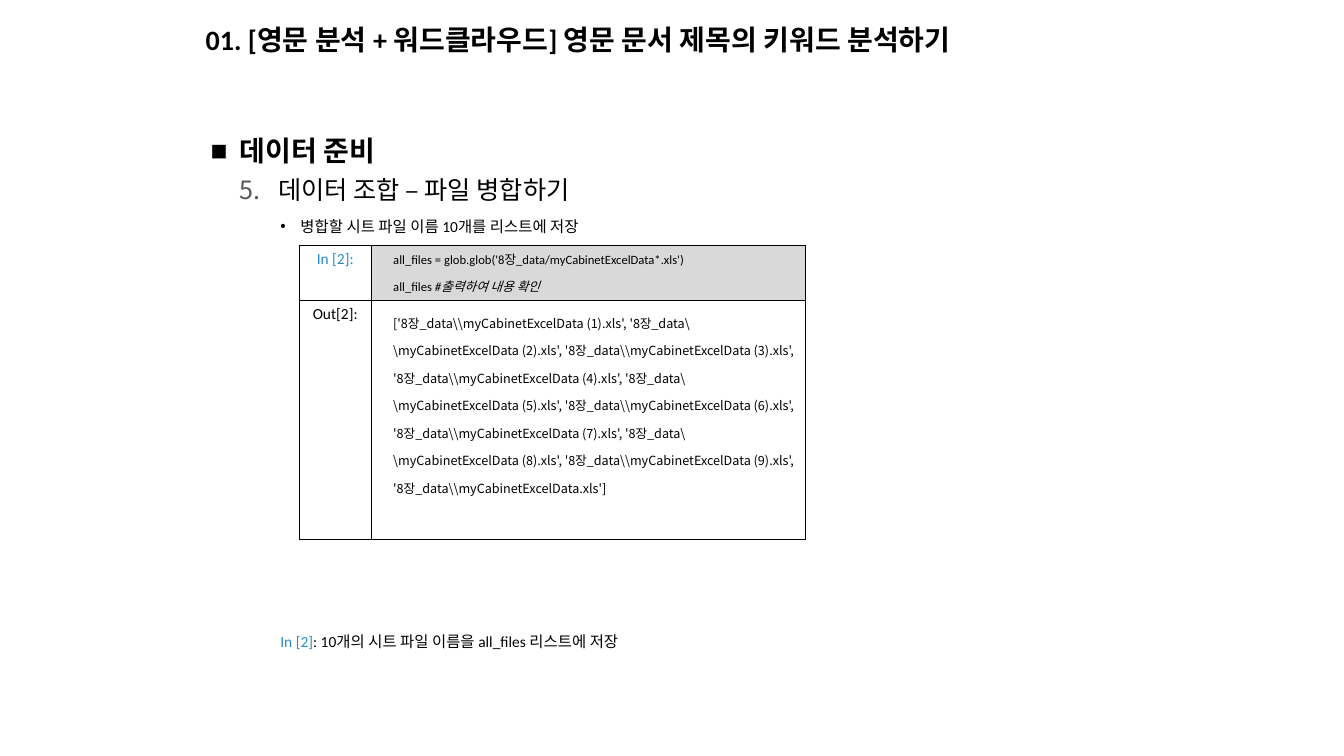
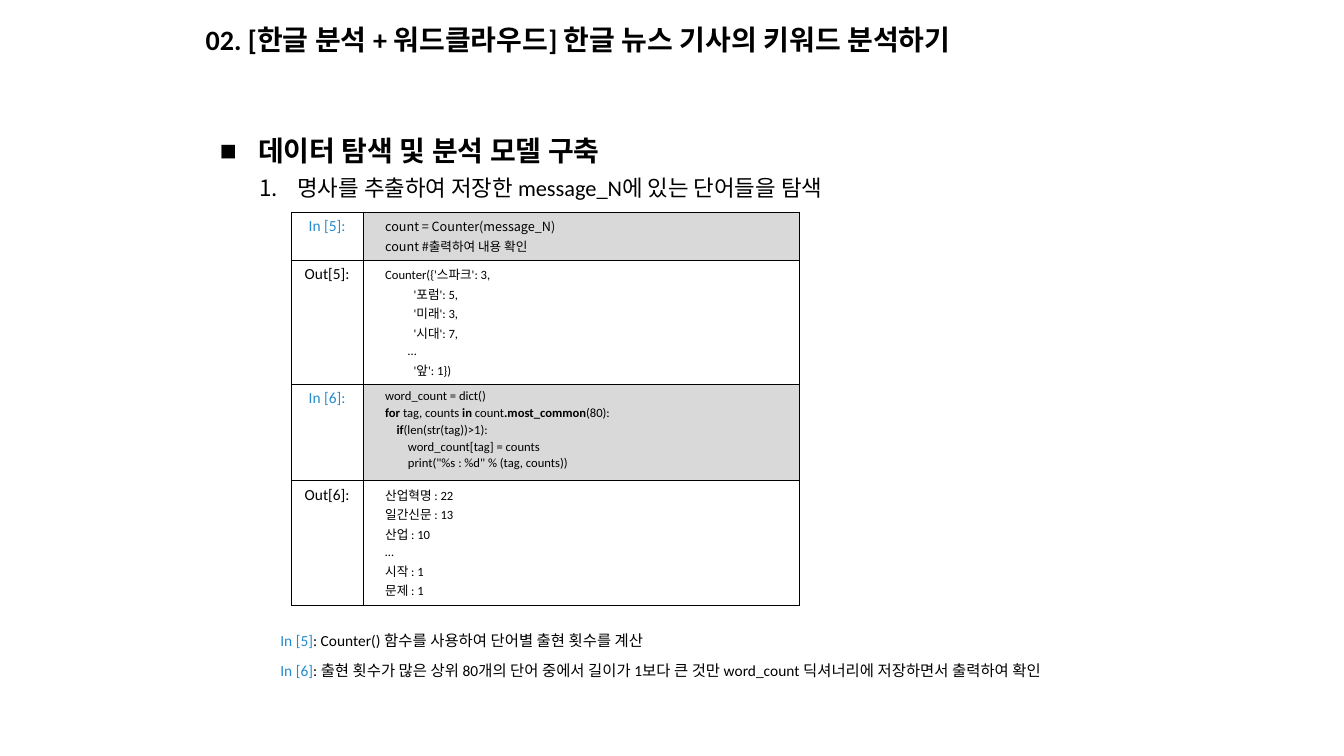
from lxml import etree
from pptx import Presentation
from pptx.dml.color import RGBColor
from pptx.enum.text import MSO_ANCHOR, MSO_AUTO_SIZE, PP_ALIGN
from pptx.oxml.ns import qn
from pptx.util import Inches, Pt

LEFT, CENTER = PP_ALIGN.LEFT, PP_ALIGN.CENTER
MIDDLE = MSO_ANCHOR.MIDDLE
NO_FIT = MSO_AUTO_SIZE.NONE


class Theme:
    black = "000000"
    white = "FFFFFF"
    accent = "258BCD"
    number = "595959"
    code_fill = "D9D9D9"
    sans = "Calibri"
    heading = "Arial"
    korean = "Noto Sans CJK KR"
    title_size = 20
    topic_size = 18
    step_size = 16
    note_size = 11
    code_size = 9
    border = 0.25


def add_bullet(p, color, char=None, start=None):
    pPr = p._p.get_or_add_pPr()
    clr = etree.SubElement(pPr, qn("a:buClr"))
    etree.SubElement(clr, qn("a:srgbClr"), val=color)
    if start:
        etree.SubElement(pPr, qn("a:buFont"), typeface="+mj-lt")
        etree.SubElement(pPr, qn("a:buAutoNum"), type="arabicPeriod", startAt=str(start))
    else:
        etree.SubElement(pPr, qn("a:buFont"), typeface=Theme.heading)
        etree.SubElement(pPr, qn("a:buChar"), char=char)


def write(p, content, size, font=Theme.sans, bold=False, before=0, after=0,
          spacing=1.0, align=LEFT, left=0, hang=0, level=0, bullet=None):
    p.level = level
    p.alignment = align
    p.line_spacing = spacing
    p.space_before, p.space_after = Pt(before), Pt(after)
    pPr = p._p.get_or_add_pPr()
    pPr.set("marL", str(Inches(left)))
    pPr.set("indent", str(-Inches(hang)))
    if bullet:
        add_bullet(p, **bullet)
    else:
        etree.SubElement(pPr, qn("a:buNone"))
    for text, look in [(content, "")] if isinstance(content, str) else content:
        r = p.add_run()
        r.text = text
        r.font.size = Pt(size)
        r.font.name = font
        r.font.bold = bold or look == "bold"
        r.font.italic = look == "italic"
        r.font.color.rgb = RGBColor.from_string(Theme.accent if look == "accent" else Theme.black)
        latin = r._r.rPr.find(qn("a:latin"))
        latin.addnext(etree.Element(qn("a:ea"), typeface=Theme.korean))


file_names = [rf"8장_data\myCabinetExcelData{n}.xls"
              for n in [f" ({i})" for i in range(1, 10)] + [""]]
tight = dict(before=0.5, after=0.5)
heading = dict(size=Theme.title_size, font=Theme.heading, bold=True, spacing=1.5,
               bullet=dict(color=Theme.black, char="■"))

slides = [
    dict(
        title="01. [영문 분석 + 워드클라우드] 영문 문서 제목의 키워드 분석하기",
        body=[
            ("데이터 준비", dict(heading, left=0.29, hang=0.29)),
            ("데이터 조합 – 파일 병합하기",
             dict(size=Theme.topic_size, before=5, after=4, level=1, left=0.67, hang=0.38,
                  bullet=dict(color=Theme.number, start=5))),
            ("병합할 시트 파일 이름 10개를 리스트에 저장",
             dict(size=Theme.note_size, before=5, after=3, level=3, left=0.89, hang=0.2,
                  bullet=dict(color=Theme.black, char="•"))),
        ],
        notes_gap=280,
        notes=[("In [2]", ": 10개의 시트 파일 이름을 all_files 리스트에 저장")],
        table_at=(2.97, 2.43),
        widths=(0.71, 4.31),
        cells=[
            ("In [2]:", 0.48, Theme.sans, dict(before=2.8, after=3),
             ["all_files = glob.glob('8장_data/myCabinetExcelData*.xls')",
              [("all_files ", ""), ("#출력하여 내용 확인", "italic")]]),
            ("Out[2]:", 2.37, Theme.korean, dict(before=0.1, after=0.1, spacing=1.5),
             [str(file_names)]),
        ],
    ),
    dict(
        title="02. [한글 분석 + 워드클라우드] 한글 뉴스 기사의 키워드 분석하기",
        body=[
            ("데이터 탐색 및 분석 모델 구축", dict(heading, left=0.47, hang=0.38)),
            ("명사를 추출하여 저장한 message_N에 있는 단어들을 탐색",
             dict(size=Theme.step_size, before=5, after=3, level=2, left=0.86, hang=0.38,
                  bullet=dict(color=Theme.black, start=1))),
        ],
        notes_gap=304,
        notes=[
            ("In [5]", ": Counter() 함수를 사용하여 단어별 출현 횟수를 계산"),
            ("In [6]", ": 출현 횟수가 많은 상위 80개의 단어 중에서 길이가 1보다 큰 것만 "
                       "word_count 딕셔너리에 저장하면서 출력하여 확인"),
        ],
        table_at=(2.89, 2.1),
        widths=(0.71, 4.33),
        cells=[
            ("In [5]:", 0.43, Theme.korean, tight,
             ["count = Counter(message_N)", "count #출력하여 내용 확인"]),
            ("Out[5]:", 1.14, Theme.sans, tight,
             ["Counter({'스파크': 3,", "          '포럼': 5,", "          '미래': 3,",
              "          '시대': 7,", "        …", "          '앞': 1})"]),
            ("In [6]:", 0.96, Theme.sans, tight,
             ["word_count = dict()",
              [("for", "bold"), (" tag, counts ", ""), ("in ", "bold"), ("count", ""),
               (".most_common", "bold"), ("(80):", "")],
              [("    ", ""), ("if", "bold"), ("(len(str(tag))>1):", "")],
              "        word_count[tag] = counts",
              '        print("%s : %d" % (tag, counts))']),
            ("Out[6]:", 1.14, Theme.sans, tight,
             ["산업혁명 : 22", "일간신문 : 13", "산업 : 10", "…", "시작 : 1", "문제 : 1"]),
        ],
    ),
]

prs = Presentation()
prs.slide_width, prs.slide_height = Inches(13.33), Inches(7.5)
layout = prs.slide_layouts[1]
for index, box in enumerate([(1.94, 0.11, 8.66, 0.6), (1.99, 1.11, 9.45, 5.98)]):
    sp = layout.placeholders[index]
    sp.left, sp.top, sp.width, sp.height = map(Inches, box)

for content in slides:
    s = prs.slides.add_slide(layout)
    tf = s.shapes.title.text_frame
    tf.vertical_anchor = MIDDLE
    tf.auto_size = NO_FIT
    write(tf.paragraphs[0], content["title"], Theme.title_size, bold=True, spacing=0.9)

    tf = s.placeholders[1].text_frame
    tf.auto_size = NO_FIT
    for i, (text, style) in enumerate(content["body"]):
        write(tf.add_paragraph() if i else tf.paragraphs[0], text, **style)
    for i, (label, note) in enumerate(content["notes"]):
        write(tf.add_paragraph(), [(label, "accent"), (note, "")], Theme.note_size,
              before=5 if i else content["notes_gap"], after=3, level=3, left=0.69)

    cells, widths = content["cells"], content["widths"]
    x, y = content["table_at"]
    height = sum(row[1] for row in cells)
    table = s.shapes.add_table(len(cells), 2, Inches(x), Inches(y),
                               Inches(sum(widths)), Inches(height)).table
    table.first_row = table.horz_banding = False
    for column, width in zip(table.columns, widths):
        column.width = Inches(width)
    for row, (label, row_height, font, style, lines) in zip(table.rows, cells):
        row.height = Inches(row_height)
        is_input = label.startswith("In")
        label_cell, code_cell = row.cells
        write(label_cell.text_frame.paragraphs[0], [(label, "accent" if is_input else "")],
              Theme.note_size, after=3, align=CENTER)
        tf = code_cell.text_frame
        for i, line in enumerate(lines):
            before = style["before"] if i else 0
            write(tf.add_paragraph() if i else tf.paragraphs[0], line, Theme.code_size,
                  font, left=0.12, **{**style, "before": before})
        for cell, fill in ((label_cell, Theme.white),
                           (code_cell, Theme.code_fill if is_input else Theme.white)):
            tcPr = cell._tc.get_or_add_tcPr()
            for side in ("lnL", "lnR", "lnT", "lnB"):
                ln = etree.SubElement(tcPr, qn(f"a:{side}"), w=str(Pt(Theme.border)))
                solid = etree.SubElement(ln, qn("a:solidFill"))
                etree.SubElement(solid, qn("a:srgbClr"), val=Theme.black)
            cell.fill.solid()
            cell.fill.fore_color.rgb = RGBColor.from_string(fill)

prs.save("out.pptx")
